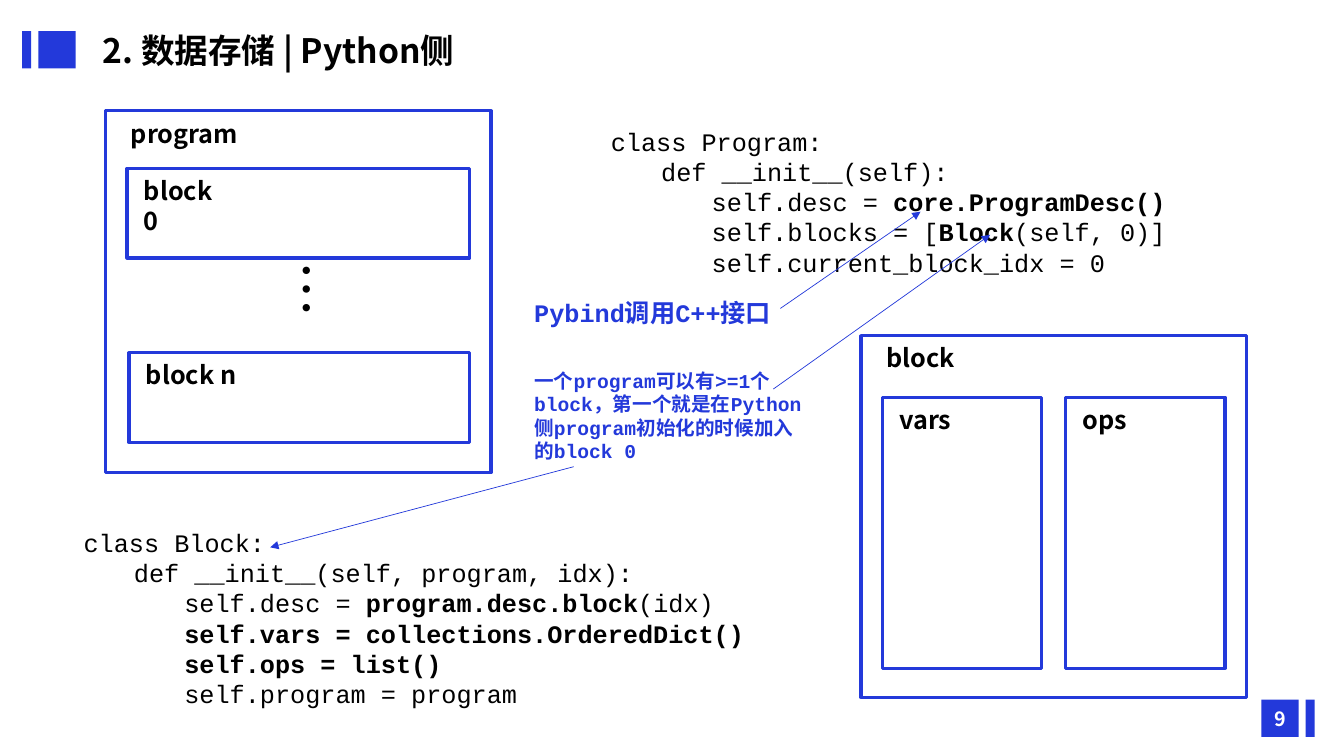
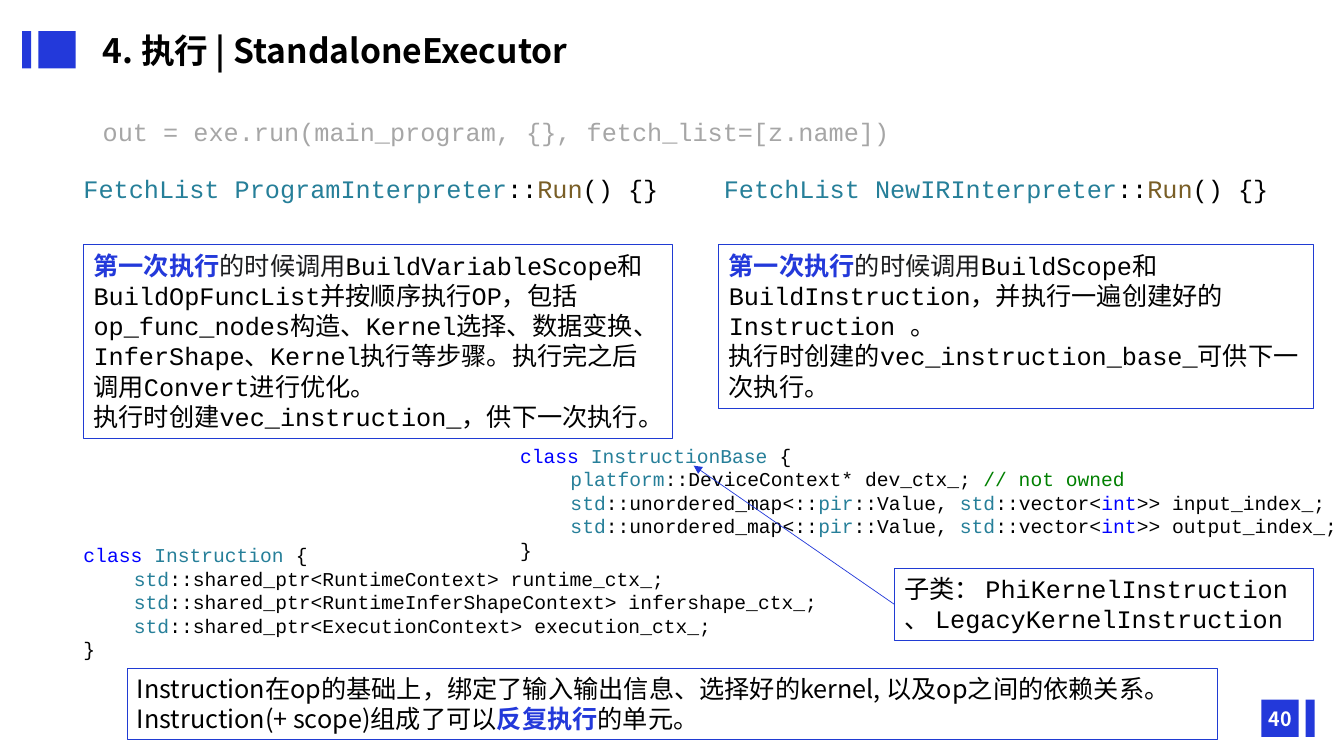
import pptx
import pptx.dml.color
import pptx.enum.lang
import pptx.enum.shapes
import pptx.enum.text
import pptx.oxml.ns
import pptx.util
from lxml import etree

Inches = pptx.util.Inches

# Shared look
BLUE, BOX_LINE, WHITE = "2339DA", "203BD3", "FFFFFF"
SANS, MONO = "Noto Sans CJK SC", "Courier New"
STYLES = {  # colour, bold
    "plain": ("000000", False),
    "bold": ("000000", True),
    "accent": (BLUE, True),
    "page": (WHITE, True),
    "dark": ("1C1D1F", False),
    "muted": ("A6A6A6", False),
    "type": ("267F99", False),
    "keyword": ("0000FF", False),
    "function": ("795E26", False),
    "comment": ("008000", False),
}
MARKS = [(0.22, 0.31, 0.09), (0.38, 0.31, 0.37), (12.51, 6.94, 0.37), (12.95, 6.94, 0.09)]
MARK_HEIGHT = 0.37

# Text is a list of lines; a line is (indent level, [(text, style), ...])
# Slide 1: data storage
PROGRAM_CODE = [
    (0, [("class Program:", "plain")]),
    (1, [("def __init__(self):", "plain")]),
    (2, [("self.desc = ", "plain"), ("core.ProgramDesc()", "bold")]),
    (2, [("self.blocks = [", "plain"), ("Block", "bold"), ("(self, 0)]", "plain")]),
    (2, [("self.current_block_idx = 0", "plain")]),
]
BLOCK_CODE = [
    (0, [("class Block:", "plain")]),
    (1, [("def __init__(self, program, idx):", "plain")]),
    (2, [("self.desc = ", "plain"), ("program.desc.block", "bold"), ("(idx)", "plain")]),
    (2, [("self.vars = collections.OrderedDict()", "bold")]),
    (2, [("self.ops = list()", "bold")]),
    (2, [("self.program = program", "plain")]),
]
PYBIND_NOTE = [(0, [("Pybind调用C++接口", "accent")])]
BLOCK_NOTE = [(0, [("一个program可以有>=1个block，第一个就是在Python侧program初始化的时候加入的block 0", "accent")])]

# Frames: label, rectangle, label width; the first of each group encloses the rest
PROGRAM_FRAMES = [
    ("program", (1.05, 1.1, 3.82, 3.59), 2.77),
    ("block 0", (1.26, 1.67, 3.4, 0.89), 1.04),
    ("block n", (1.28, 3.5, 3.38, 0.89), 1.17),
]
BLOCK_FRAMES = [
    ("block", (8.54, 3.33, 3.82, 3.59), 2.77),
    ("vars", (8.75, 3.94, 1.58, 2.69), 1.04),
    ("ops", (10.57, 3.94, 1.58, 2.69), 1.17),
]
STORAGE_ARROWS = [
    ((7.74, 3.06), (9.13, 2.1)),
    ((7.67, 3.86), (9.82, 2.33)),
    ((5.69, 4.63), (2.68, 5.43)),
]

# Slide 2: execution
RUN_CALL = [(0, [("out = exe.run(main_program, {}, fetch_list=[z.name])", "muted")])]
INTERPRETERS = [  # name, signature box, description box, first run, later runs
    ("ProgramInterpreter", (0.73, 1.67, 6.67, 0.4), (0.83, 2.43, 5.84, 1.92),
     "BuildVariableScope和BuildOpFuncList并按顺序执行OP，包括op_func_nodes构造、Kernel选择、"
     "数据变换、InferShape、Kernel执行等步骤。执行完之后调用Convert进行优化。",
     "执行时创建vec_instruction_，供下一次执行。"),
    ("NewIRInterpreter", (7.08, 1.67, 6.25, 0.4), (7.13, 2.43, 5.9, 1.62),
     "BuildScope和BuildInstruction，并执行一遍创建好的Instruction 。",
     "执行时创建的vec_instruction_base_可供下一次执行。"),
]
POINTERS = [
    ("RuntimeContext", "runtime_ctx_"),
    ("RuntimeInferShapeContext", "infershape_ctx_"),
    ("ExecutionContext", "execution_ctx_"),
]
INDEX_MAPS = ["input_index_", "output_index_"]
SUBCLASSES = [
    (0, [("子类： PhiKernelInstruction", "plain")]),
    (0, [("、 LegacyKernelInstruction", "plain")]),
]
SUMMARY = [(0, [
    ("Instruction在op的基础上，绑定了输入输出信息、选择好的kernel, 以及op之间的依赖关系。"
     "Instruction(+ scope)组成了可以", "plain"),
    ("反复执行", "accent"),
    ("的单元。", "plain"),
])]


def color(value):
    return pptx.dml.color.RGBColor.from_string(value)


def write(shape, lines, font=MONO, size=18, centered=False, middle=False):
    frame = shape.text_frame
    frame.word_wrap = True
    anchors = pptx.enum.text.MSO_ANCHOR
    frame.vertical_anchor = anchors.MIDDLE if middle else anchors.TOP
    alignments = pptx.enum.text.PP_ALIGN
    for index, (level, pieces) in enumerate(lines):
        paragraph = frame.add_paragraph() if index else frame.paragraphs[0]
        paragraph.alignment = alignments.CENTER if centered else alignments.LEFT
        if level:
            paragraph.level = level
            properties = paragraph._p.get_or_add_pPr()
            properties.set("marL", str(Inches(0.5 * level)))
            properties.set("indent", "0")
        for text, style in pieces:
            run = paragraph.add_run()
            run.text = text
            ink, bold = STYLES[style]
            run.font.size = pptx.util.Pt(size)
            run.font.bold = bold
            run.font.color.rgb = color(ink)
            run.font.name = font
            run.font.language_id = pptx.enum.lang.MSO_LANGUAGE_ID.SIMPLIFIED_CHINESE
            east_asian = etree.SubElement(run._r.get_or_add_rPr(), pptx.oxml.ns.qn("a:ea"))
            east_asian.set("typeface", SANS)


def add_text(shapes, box, lines, **options):
    shape = shapes.add_textbox(*map(Inches, box))
    write(shape, lines, **options)
    return shape


def add_rectangle(shapes, box, fill=None, line=None, width=0.75):
    kind = pptx.enum.shapes.MSO_SHAPE.RECTANGLE
    shape = shapes.add_shape(kind, *map(Inches, box))
    shape.shadow.inherit = False
    if fill:
        shape.fill.solid()
        shape.fill.fore_color.rgb = color(fill)
    else:
        shape.fill.background()
    if line:
        shape.line.color.rgb = color(line)
        shape.line.width = pptx.util.Pt(width)
    else:
        shape.line.fill.background()
    return shape


def add_text_rectangle(shapes, box, lines, **options):
    shape = add_rectangle(shapes, box, line=BOX_LINE)
    write(shape, lines, **options)
    return shape


def add_arrow(slide, start, end):
    kind = pptx.enum.shapes.MSO_CONNECTOR.STRAIGHT
    arrow = slide.shapes.add_connector(kind, *map(Inches, start + end))
    arrow.line.color.rgb = color(BLUE)
    arrow.line.width = pptx.util.Pt(0.5)
    qn = pptx.oxml.ns.qn
    etree.SubElement(arrow.line._get_or_add_ln(), qn("a:tailEnd")).set("type", "triangle")
    etree.SubElement(arrow._element.spPr, qn("a:effectLst"))
    return arrow


def add_frames(slide, frames):
    shapes = slide.shapes.add_group_shape().shapes
    for index, (label, box, label_width) in enumerate(frames):
        add_rectangle(shapes, box, line=BLUE, width=2.25)
        inset = 0.07 if index else 0.15
        label_box = (box[0] + inset, box[1] + 0.02, label_width, 0.4)
        add_text(shapes, label_box, [(0, [(label, "bold")])], font=SANS)
    return shapes


def add_slide(presentation, title, number):
    slide = presentation.slides.add_slide(presentation.slide_layouts[6])
    for left, top, width in MARKS:
        add_rectangle(slide.shapes, (left, top, width, MARK_HEIGHT), fill=BLUE)
    add_text(slide.shapes, (12.43, 6.93, 0.54, 0.4), [(0, [(number, "page")])],
             font=SANS, size=14, centered=True, middle=True)
    heading = add_text(slide.shapes, (0.92, 0.38, 9.27, 0.29), [(0, [(title, "bold")])],
                       font=SANS, size=24, middle=True)
    heading.text_frame.paragraphs[0].line_spacing = 0.9
    return slide


def class_code(name, members):
    opening = (0, [("class ", "keyword"), (name, "type"), (" {", "plain")])
    return [opening] + [(1, member) for member in members] + [(0, [("}", "plain")])]


def build_storage(presentation):
    slide = add_slide(presentation, "2. 数据存储 | Python侧", "9")
    shapes = slide.shapes
    add_text(shapes, (5.96, 1.2, 6.22, 1.62), PROGRAM_CODE)

    # Nested frames
    program_group = add_frames(slide, PROGRAM_FRAMES)
    dots = add_text(program_group, (2.94, 2.5, 0.5, 1), [(0, [("…", "plain")])],
                    font=SANS, size=40, centered=True)
    dots.text_frame._txBody.bodyPr.set("vert", "eaVert")
    add_frames(slide, BLOCK_FRAMES)

    # Code, notes and arrows
    add_text(shapes, (0.73, 5.18, 7.01, 1.92), BLOCK_CODE)
    add_text(shapes, (5.2, 2.9, 2.9, 0.4), PYBIND_NOTE)
    add_text(shapes, (5.2, 3.61, 2.9, 1.04), BLOCK_NOTE, size=14)
    for start, end in STORAGE_ARROWS:
        add_arrow(slide, start, end)


def build_execution(presentation):
    slide = add_slide(presentation, "4. 执行 | StandaloneExecutor", "40")
    shapes = slide.shapes
    add_text(shapes, (0.92, 1.11, 11.5, 0.4), RUN_CALL)

    # Two interpreters side by side
    for name, signature_box, description_box, first_run, later_runs in INTERPRETERS:
        add_text(shapes, signature_box, [(0, [
            ("FetchList " + name, "type"), ("::", "plain"),
            ("Run", "function"), ("() {}", "plain"),
        ])])
        add_text_rectangle(shapes, description_box, [
            (0, [("第一次执行", "accent"), ("的时候调用", "dark"), (first_run, "plain")]),
            (0, [(later_runs, "plain")]),
        ])

    # Instruction classes
    pointers = [
        [("std", "type"), (f"::shared_ptr<{kind}> {name};", "plain")]
        for kind, name in POINTERS
    ]
    base_members = [[("platform", "type"), ("::DeviceContext* dev_ctx_;", "plain"),
                     (" // not owned", "comment")]]
    base_members += [
        [("std", "type"), ("::unordered_map<::", "plain"), ("pir", "type"),
         ("::Value, ", "plain"), ("std", "type"), ("::vector<", "plain"),
         ("int", "keyword"), (f">> {name};", "plain")]
        for name in INDEX_MAPS
    ]
    add_text(shapes, (0.73, 5.34, 9.16, 1.28), class_code("Instruction", pointers), size=14)
    add_text(shapes, (5.06, 4.35, 8.59, 1.28), class_code("InstructionBase", base_members), size=14)

    # Subclasses and summary
    subclass_box = add_text_rectangle(shapes, (8.87, 5.64, 4.16, 0.71), SUBCLASSES)
    arrow = add_arrow(slide, (8.87, 6), (6.88, 4.62))
    arrow.begin_connect(subclass_box, 1)
    add_text_rectangle(shapes, (1.26, 6.63, 10.82, 0.71), SUMMARY, font=SANS)


def main():
    presentation = pptx.Presentation()
    presentation.slide_width = Inches(13.33)
    presentation.slide_height = Inches(7.5)
    build_storage(presentation)
    build_execution(presentation)
    presentation.save("out.pptx")


if __name__ == "__main__":
    main()
